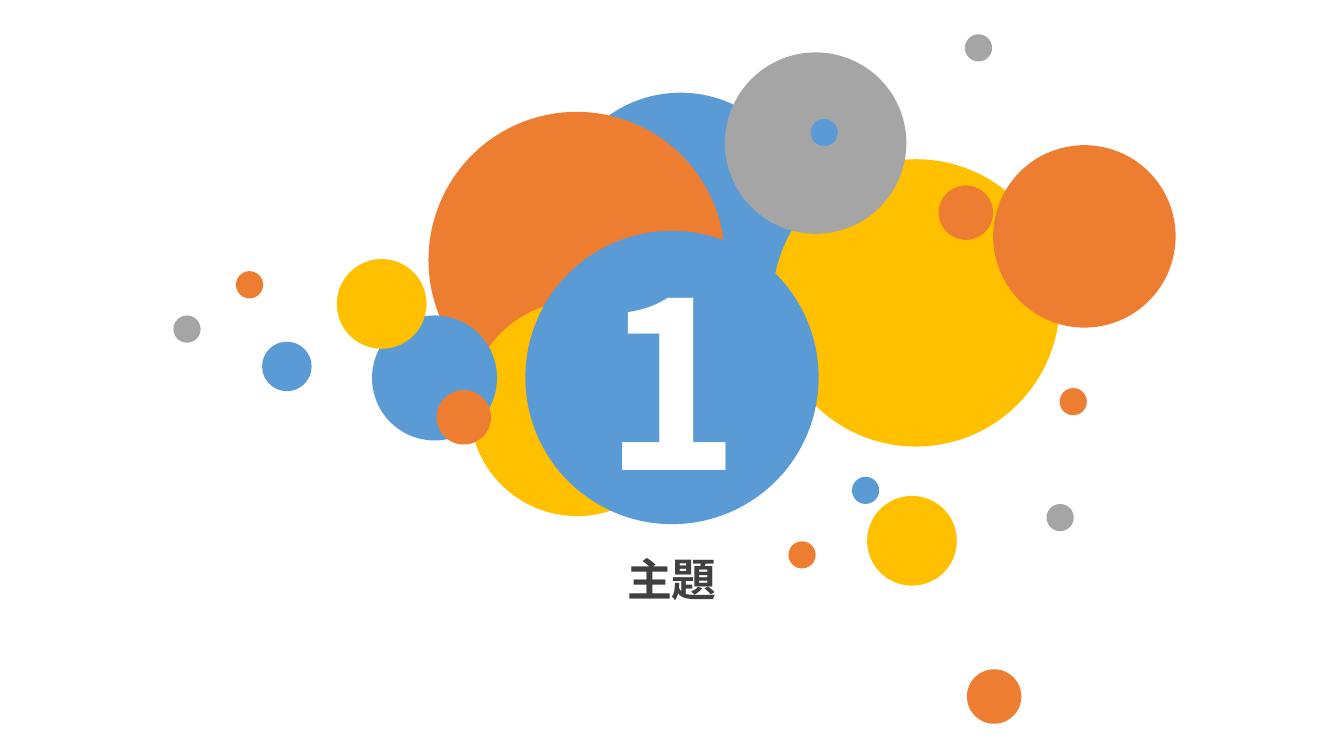
from lxml import etree
from pptx import Presentation
from pptx.dml.color import RGBColor
from pptx.enum.shapes import MSO_SHAPE
from pptx.enum.text import MSO_ANCHOR, MSO_AUTO_SIZE, PP_ALIGN
from pptx.oxml.ns import qn
from pptx.util import Inches, Pt

OVAL = MSO_SHAPE.OVAL
MIDDLE = MSO_ANCHOR.MIDDLE
CENTER = PP_ALIGN.CENTER
GROW = MSO_AUTO_SIZE.SHAPE_TO_FIT_TEXT
TITLE_ONLY = 5

FONT = "Noto Sans CJK SC"
COLORS = {
    "blue": "5B9BD5",
    "orange": "ED7D31",
    "yellow": "FFC000",
    "gray": "A5A5A5",
    "white": "FFFFFF",
    "dark": "404040",
}
DOT, SMALL, MEDIUM = 0.27, 0.54, 0.89

# Left, top, diameter and colour, from back to front
BUBBLES = [
    (5.52, 0.92, 2.46, "blue"),
    (4.25, 1.11, 2.94, "orange"),
    (4.66, 2.99, 2.13, "yellow"),
    (7.66, 1.58, 2.85, "yellow"),
    (7.19, 0.52, 1.8, "gray"),
    (3.69, 3.13, 1.24, "blue"),
    (8.6, 4.92, MEDIUM, "yellow"),
    (8.45, 4.73, DOT, "blue"),
    (7.82, 5.37, DOT, "orange"),
    (10.38, 5, DOT, "gray"),
    (9.59, 6.64, SMALL, "orange"),
    (9.85, 1.44, 1.81, "orange"),
    (3.34, 2.57, MEDIUM, "yellow"),
    (2.6, 3.39, 0.49, "blue"),
    (2.34, 2.69, DOT, "orange"),
    (1.72, 3.13, DOT, "gray"),
    (4.33, 3.87, SMALL, "orange"),
    (8.04, 1.18, DOT, "blue"),
    (10.51, 3.85, DOT, "orange"),
    (9.57, 0.34, DOT, "gray"),
    (9.31, 1.84, SMALL, "orange"),
]
NUMBER_BUBBLE = (5.21, 2.29, 2.91, "blue")


def add_bubble(slide, left, top, diameter, color):
    """Add a filled circle without outline and return it."""
    bubble = slide.shapes.add_shape(
        OVAL, Inches(left), Inches(top), Inches(diameter), Inches(diameter))
    bubble.shadow.inherit = False
    bubble.fill.solid()
    bubble.fill.fore_color.rgb = RGBColor.from_string(COLORS[color])
    bubble.line.fill.background()
    return bubble


def write_centered(frame, text, size, color):
    """Write one bold run in the middle of a text frame."""
    frame.word_wrap = True
    frame.vertical_anchor = MIDDLE
    paragraph = frame.paragraphs[0]
    paragraph.alignment = CENTER
    run = paragraph.add_run()
    run.text = text
    run.font.size = Pt(size)
    run.font.bold = True
    run.font.color.rgb = RGBColor.from_string(COLORS[color])
    run.font.name = FONT
    east_asian = etree.SubElement(run.font._element, qn("a:ea"))
    east_asian.set("typeface", FONT)


def set_title(slide, text):
    """Place the section title below the bubbles."""
    title = slide.shapes.title
    title.left, title.top = Inches(3.65), Inches(5.42)
    title.width, title.height = Inches(6.03), Inches(0.64)
    write_centered(title.text_frame, text, 32, "dark")
    title.text_frame.auto_size = GROW


def main():
    """Build the section slide and save it."""
    deck = Presentation()
    deck.slide_width, deck.slide_height = Inches(13.33), Inches(7.5)
    slide = deck.slides.add_slide(deck.slide_layouts[TITLE_ONLY])
    for bubble in BUBBLES:
        add_bubble(slide, *bubble)
    number = add_bubble(slide, *NUMBER_BUBBLE)
    write_centered(number.text_frame, "1", 166, "white")
    set_title(slide, "主題")
    deck.save("out.pptx")


main()
